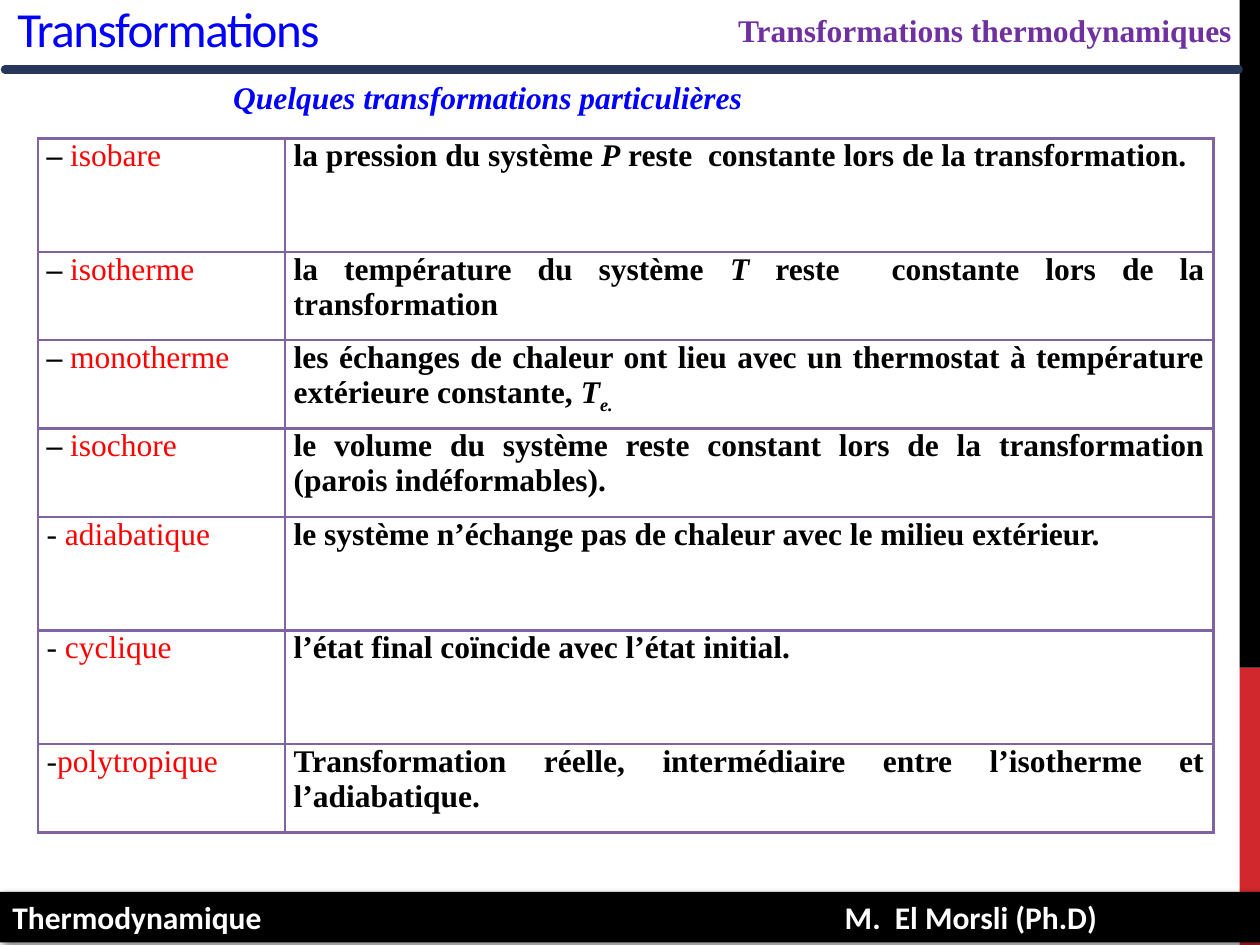
import pptx
import pptx.util
import pptx.dml.color
import pptx.enum.shapes
import pptx.enum.text
import pptx.oxml
import pptx.oxml.ns

Cm = pptx.util.Cm
Pt = pptx.util.Pt
SHAPE = pptx.enum.shapes.MSO_SHAPE
LINK = pptx.enum.shapes.MSO_CONNECTOR
ALIGN = pptx.enum.text.PP_ALIGN
ANCHOR = pptx.enum.text.MSO_ANCHOR
NS = pptx.oxml.ns.nsdecls("a")

ROMAN = {"name": "Times New Roman", "size": Pt(18), "bold": True}
PLAIN = {"bold": False}
RED = {"color": "FF0000", "bold": False}
SLANT = {"italic": True}
LOW = {"italic": True, "baseline": "-25000"}

TALL, SHORT = 2.29, 1.78
# Each row: height, dash, dash format, kind, runs of the definition
ROWS = [
    (TALL, "– ", {}, "isobare",
     [("la pression du système ", {}), ("P", SLANT),
      (" reste  constante lors de la transformation.", {})]),
    (SHORT, "– ", {}, "isotherme",
     [("la température du système ", {}), ("T", SLANT),
      (" reste  constante lors de la transformation", {})]),
    (SHORT, "– ", {}, "monotherme",
     [("les échanges de chaleur ont lieu avec un thermostat à "
       "température extérieure constante, ", {}), ("T", SLANT), ("e.", LOW)]),
    (SHORT, "– ", {}, "isochore",
     [("le volume du système reste constant lors de la transformation "
       "(parois indéformables).", {})]),
    (TALL, "- ", PLAIN, "adiabatique",
     [("le système n’échange pas de chaleur avec le milieu extérieur.", {})]),
    (TALL, "- ", PLAIN, "cyclique",
     [("l’état final coïncide avec l’état initial.", {})]),
    (SHORT, "-", PLAIN, "polytropique",
     [("Transformation réelle, intermédiaire entre l’isotherme et "
       "l’adiabatique.", {})]),
]


def paint(code):
    return pptx.dml.color.RGBColor.from_string(code)


def node(xml):
    """Parse one drawing element, given without its namespace."""
    tag, rest = xml[1:].split(" ", 1)
    return pptx.oxml.parse_xml(f"<{tag} {NS} {rest}")


class Deck:
    """Holds the current slide and the base text style."""

    def __init__(self, slide, base):
        self.slide = slide
        self.base = base

    def words(self, para, runs, align=ALIGN.LEFT, tab=None):
        """Fill a paragraph with (text, format) runs."""
        para.alignment = align
        if tab:
            para._p.get_or_add_pPr().append(node(
                f'<a:tabLst ><a:tab pos="{Cm(tab)}" algn="l"/></a:tabLst>'))
        for text, extra in runs:
            run = para.add_run()
            run.text = text
            for key, val in {"color": "000000", **self.base, **extra}.items():
                if key == "color":
                    run.font.color.rgb = paint(val)
                elif key in ("spc", "baseline"):
                    run._r.get_or_add_rPr().set(key, val)
                else:
                    setattr(run.font, key, val)

    def block(self, x, y, w, h, fill):
        box = self.slide.shapes.add_shape(
            SHAPE.RECTANGLE, Cm(x), Cm(y), Cm(w), Cm(h))
        box.shadow.inherit = False
        box.fill.solid()
        box.fill.fore_color.rgb = paint(fill)
        box.line.fill.background()
        return box

    def band(self, x, y, w, h, fill, runs, tab):
        """Shadowed bar with text."""
        box = self.block(x, y, w, h, fill)
        glow = box._element.spPr.find(pptx.oxml.ns.qn("a:effectLst"))
        glow.append(node(
            f'<a:outerShdw blurRad="{Pt(4)}" dist="{Pt(3)}" dir="2700000">'
            '<a:srgbClr val="000000"><a:alpha val="43000"/></a:srgbClr>'
            '</a:outerShdw>'))
        box.text_frame.vertical_anchor = ANCHOR.TOP
        self.words(box.text_frame.paragraphs[0], runs, tab=tab)

    def text(self, x, y, w, h, runs, anchor=ANCHOR.TOP, **form):
        box = self.slide.shapes.add_textbox(Cm(x), Cm(y), Cm(w), Cm(h))
        frame = box.text_frame
        frame.word_wrap = True
        frame.vertical_anchor = anchor
        self.words(frame.paragraphs[0], runs, **form)

    def rule(self, x, y, end, color, width):
        line = self.slide.shapes.add_connector(
            LINK.STRAIGHT, Cm(x), Cm(y), Cm(end), Cm(y))
        line.line.color.rgb = paint(color)
        line.line.width = Pt(width)
        line._element.spPr.find(pptx.oxml.ns.qn("a:ln")).set("cap", "rnd")
        line._element.spPr.append(node("<a:effectLst />"))

    def cell(self, cell, runs, edge):
        form = {"margin_left": Cm(0.18), "margin_right": Cm(0.18),
                "margin_top": 0, "margin_bottom": 0}
        for key, val in form.items():
            setattr(cell, key, val)
        cell.fill.background()
        props = cell._tc.get_or_add_tcPr()
        for spot, side in enumerate("LRTB"):
            props.insert(spot, node(
                f'<a:ln{side} w="{Pt(1.5)}"><a:solidFill>'
                f'<a:srgbClr val="{edge}"/></a:solidFill></a:ln{side}>'))
        self.words(cell.text_frame.paragraphs[0], runs, ALIGN.JUSTIFY)

    def table(self, x, y, cols, rows, edge):
        high = sum(row[0] for row in rows)
        grid = self.slide.shapes.add_table(
            len(rows), len(cols), Cm(x), Cm(y), Cm(sum(cols)), Cm(high)).table
        grid.first_row = grid.horz_banding = False
        for col, wide in zip(grid.columns, cols):
            col.width = Cm(wide)
        for num, (tall, dash, form, kind, runs) in enumerate(rows):
            grid.rows[num].height = Cm(tall)
            self.cell(grid.cell(num, 0), [(dash, form), (kind, RED)], edge)
            self.cell(grid.cell(num, 1), runs, edge)


def main():
    show = pptx.Presentation()
    show.slide_width, show.slide_height = Cm(25.4), Cm(19.05)
    deck = Deck(show.slides.add_slide(show.slide_layouts[6]), ROMAN)

    deck.block(24.99, 13.46, 0.41, 5.59, "D1282E")
    deck.block(24.99, 0, 0.41, 13.46, "000000")
    deck.band(0, 17.98, 25.4, 1.02, "000000",
              [("Thermodynamique\tM.  El Morsli (Ph.D)",
                {"name": "Calibri", "color": "FFFFFF"})], tab=16.78)
    deck.text(0.1, 0, 24.77, 1.12,
              [("Transformations", {"name": "Calibri", "size": Pt(28),
                                    "bold": False, "color": "0000FF",
                                    "spc": "-80"})], ANCHOR.MIDDLE)
    deck.rule(0.1, 1.4, 24.97, "283659", 4.75)
    deck.text(14.63, 0.1, 10.54, 1.02,
              [("Transformations thermodynamiques", {"color": "7030A0"})])
    deck.text(3.18, 1.45, 12.9, 1.02,
              [("\tQuelques transformations particulières",
                {"color": "0000FF", "italic": True})],
              ANCHOR.MIDDLE, align=ALIGN.JUSTIFY, tab=1.27)
    deck.table(0.76, 2.79, [4.98, 18.72], ROWS, "8064A2")
    show.save("out.pptx")


if __name__ == "__main__":
    main()
